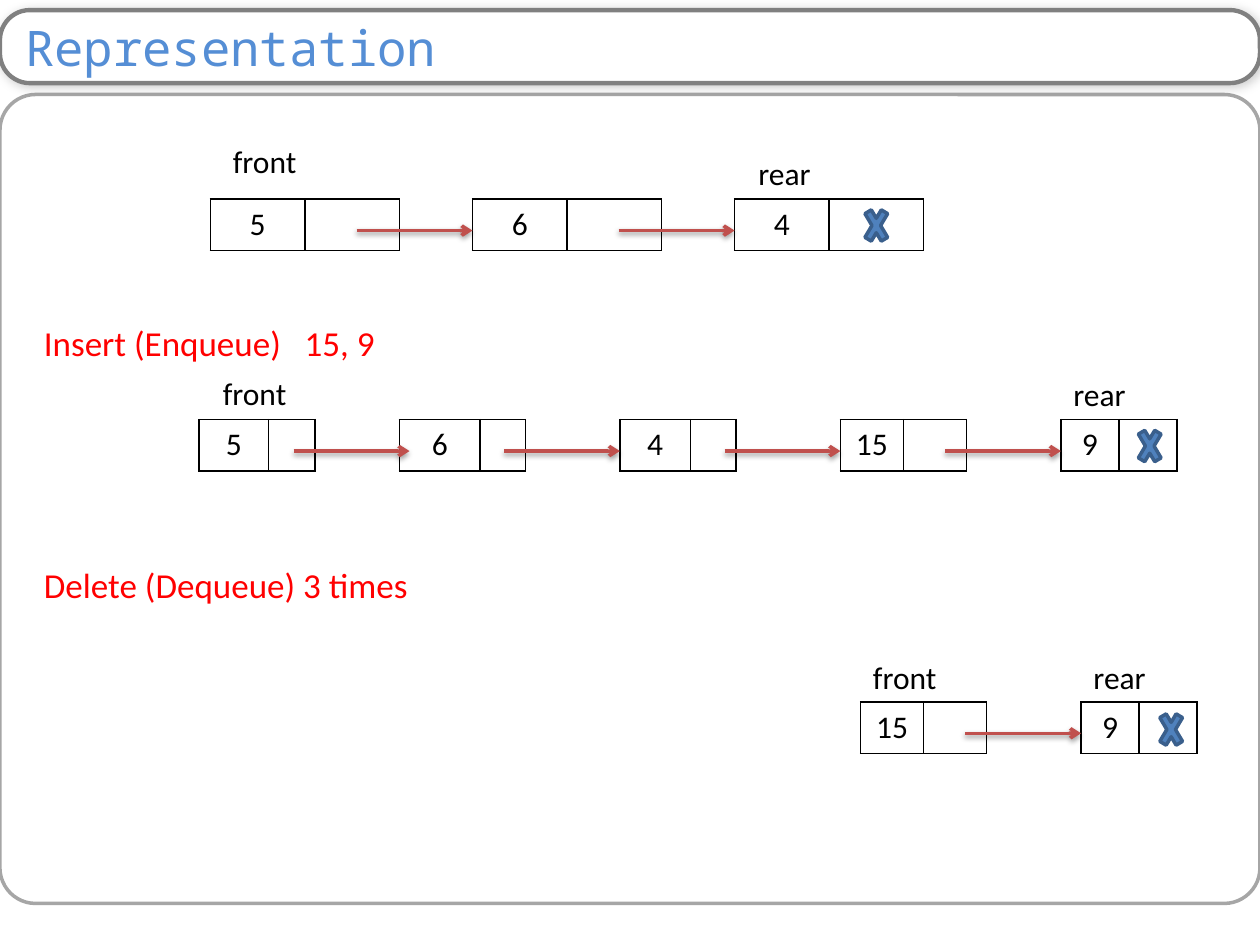
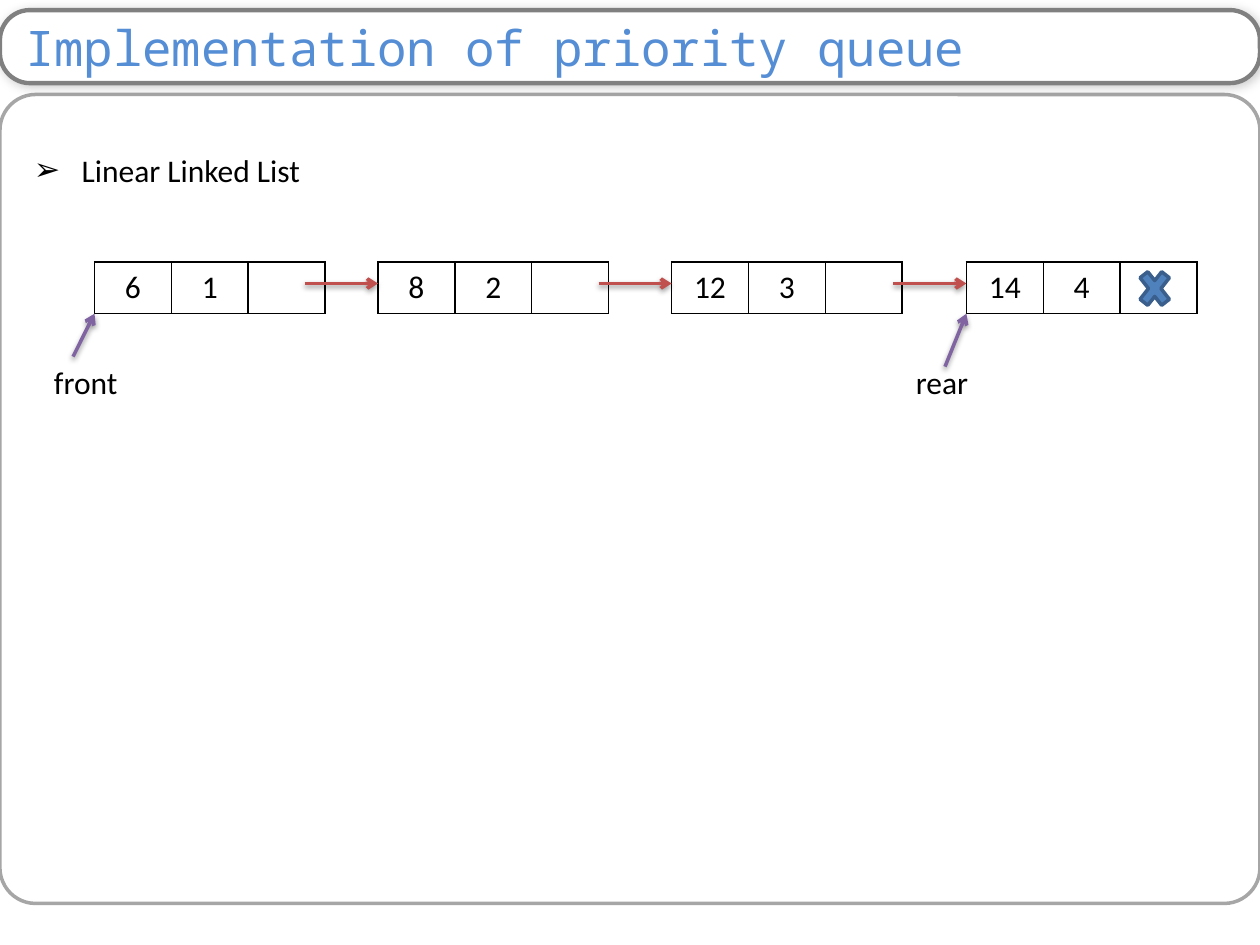
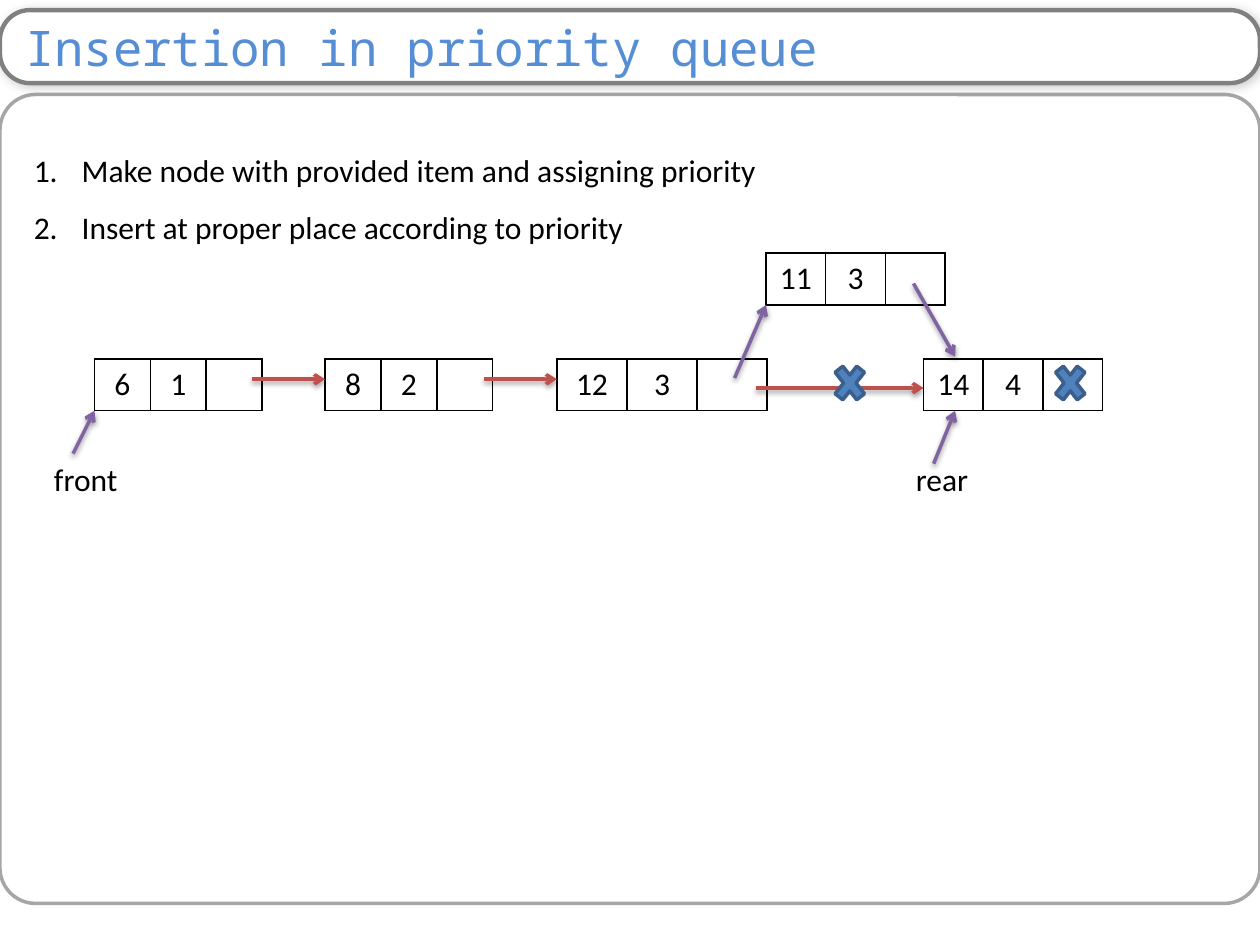
from dataclasses import dataclass

from lxml.etree import SubElement
from pptx import Presentation
from pptx.dml.color import RGBColor
from pptx.enum.shapes import MSO_CONNECTOR as Connector, MSO_SHAPE as Preset
from pptx.enum.text import MSO_ANCHOR as Anchor, MSO_AUTO_SIZE as AutoSize, PP_ALIGN as Align
from pptx.oxml.ns import qn
from pptx.util import Inches, Pt

WHITE = RGBColor(0xFF, 0xFF, 0xFF)
BLACK = RGBColor(0x00, 0x00, 0x00)
RED = RGBColor(0xFF, 0x00, 0x00)
TITLE_BLUE = RGBColor(0x55, 0x8E, 0xD5)
BAND_GREY = RGBColor(0x80, 0x80, 0x80)
PANEL_GREY = RGBColor(0xA6, 0xA6, 0xA6)
LINK_RED = RGBColor(0xC0, 0x50, 0x4D)
POINTER_PURPLE = RGBColor(0x80, 0x64, 0xA2)
CROSS_BLUE = RGBColor(0x4F, 0x81, 0xBD)
CROSS_EDGE = RGBColor(0x3A, 0x5F, 0x8C)

BODY_FONT = "Calibri"
TITLE_FONT = "Noto Sans Mono"
TITLE_ONLY = 5
NODE_HEIGHT = 0.41


@dataclass
class Node:
    """A list node; left is measured from the start of its chain."""
    left: float
    width: float
    values: tuple
    first: float = 0    # width of the first cell, when the cells differ
    reach: float = 0    # length of the link that arrives here
    entry: float = 0    # how far that link runs into the node


def box(left, top, width, height):
    return [Inches(length) for length in (left, top, width, height)]


# Text and effects
def write(para, text, size=18, font=BODY_FONT, color=BLACK, align=None):
    span = para.add_run()
    span.text = text
    span.font.size, span.font.name = Pt(size), font
    span.font.color.rgb = color
    para.alignment = align


def add_text(page, text, left, top, width, height=0.4, **style):
    frame = page.shapes.add_textbox(*box(left, top, width, height)).text_frame
    frame.word_wrap = True
    frame.auto_size = AutoSize.SHAPE_TO_FIT_TEXT
    write(frame.paragraphs[0], text, **style)
    return frame.paragraphs[0]


def add_tab_stop(para, position):
    stops = SubElement(para._p.get_or_add_pPr(), qn("a:tabLst"))
    SubElement(stops, qn("a:tab"), pos=str(Inches(position)), algn="l")


def add_bullets(page, lines, left, top, width, height, mark=None):
    """Hanging list with the given mark, or numbered when there is none."""
    frame = page.shapes.add_textbox(*box(left, top, width, height)).text_frame
    frame.word_wrap = True
    for index, line in enumerate(lines):
        para = frame.add_paragraph() if index else frame.paragraphs[0]
        para.line_spacing = 1.5
        write(para, line)
        props = para._p.get_or_add_pPr()
        props.set("marL", str(Inches(0.38)))
        props.set("indent", str(-Inches(0.38)))
        SubElement(props, qn("a:buFont"), typeface="Arial")
        if mark:
            SubElement(props, qn("a:buChar"), char=mark)
        else:
            SubElement(props, qn("a:buAutoNum"), type="arabicPeriod")


def add_shadow(shape, alpha, blur, distance, angle):
    effects = SubElement(shape.element.spPr, qn("a:effectLst"))
    shadow = SubElement(effects, qn("a:outerShdw"), blurRad=str(Pt(blur)),
                        dist=str(Pt(distance)), dir=str(angle * 60000),
                        algn="ctr", rotWithShape="0")
    color = SubElement(shadow, qn("a:srgbClr"), val=str(BLACK))
    SubElement(color, qn("a:alpha"), val=str(alpha * 1000))


# Basic parts
def add_preset(page, preset, place, edge, weight, fill=None, shadowed=False):
    shape = page.shapes.add_shape(preset, *place)
    if not shadowed:
        shape.shadow.inherit = False
    if fill is None:
        shape.fill.background()
    else:
        shape.fill.solid()
        shape.fill.fore_color.rgb = fill
    shape.line.color.rgb, shape.line.width = edge, Pt(weight)
    return shape


def add_cross(page, left, top, width=0.33):
    add_preset(page, Preset.MATH_MULTIPLY, box(left, top, width, 0.42),
               CROSS_EDGE, 2, CROSS_BLUE)


def add_arrow(page, start, end, color=POINTER_PURPLE):
    ends = [Inches(length) for length in (*start, *end)]
    arrow = page.shapes.add_connector(Connector.STRAIGHT, *ends)
    arrow.line.color.rgb, arrow.line.width = color, Pt(2)
    SubElement(arrow.element.spPr.find(qn("a:ln")), qn("a:tailEnd"), type="arrow")
    add_shadow(arrow, alpha=38, blur=3.1, distance=1.6, angle=90)


def add_border(cell):
    props = cell._tc.get_or_add_tcPr()
    for side in ("a:lnL", "a:lnR", "a:lnT", "a:lnB"):
        edge = SubElement(props, qn(side), w=str(Pt(1)))
        fill = SubElement(edge, qn("a:solidFill"))
        SubElement(fill, qn("a:srgbClr"), val=str(BLACK))


def add_node(page, node, left, top):
    """A one-row table: the values, then an empty cell for the link."""
    count = len(node.values) + 1
    table = page.shapes.add_table(
        1, count, *box(left, top, node.width, NODE_HEIGHT)).table
    table.first_row = table.horz_banding = False
    first = node.first or node.width / count
    for index, column in enumerate(table.columns):
        column.width = Inches((node.width - first) / (count - 1) if index else first)
        cell = table.cell(0, index)
        add_border(cell)
        cell.fill.background()
        if index < len(node.values):
            write(cell.text_frame.paragraphs[0], node.values[index], align=Align.CENTER)


def add_chain(page, left, top, nodes, link_depth=0.25):
    """Nodes in a row, each with the link that arrives at it."""
    for node in nodes:
        add_node(page, node, left + node.left, top)
    for node in nodes:
        if node.reach:
            tip, height = left + node.left + node.entry, top + link_depth
            add_arrow(page, (tip - node.reach, height), (tip, height), LINK_RED)


# Frame shared by all slides
def add_page(deck, text):
    page = deck.slides.add_slide(deck.slide_layouts[TITLE_ONLY])
    panel = add_preset(page, Preset.ROUNDED_RECTANGLE, box(0, 0.75, 10, 6.42),
                       PANEL_GREY, 2)
    panel.adjustments[0] = 0.044
    place = box(0, 0.08, 10, 0.58)
    band = add_preset(page, Preset.ROUNDED_RECTANGLE, place, BAND_GREY, 2.5, WHITE, shadowed=True)
    band.adjustments[0] = 0.409
    add_shadow(band, alpha=20, blur=6, distance=1, angle=45)

    title = page.shapes.title
    title.left, title.top, title.width, title.height = place
    band.element.addnext(title.element)    # the title stands on the band
    frame = title.text_frame
    frame.auto_size = AutoSize.NONE
    frame.vertical_anchor = Anchor.MIDDLE
    frame.margin_left, frame.margin_right = Inches(0.2), Inches(0.1)
    frame.margin_top = frame.margin_bottom = 0
    write(frame.paragraphs[0], text, size=28, font=TITLE_FONT,
          color=TITLE_BLUE, align=Align.LEFT)
    return page


def add_pointers(page, top, rear_tip):
    """Front and rear labels under a chain, with arrows up to its nodes."""
    add_arrow(page, (0.58, top + 0.75), (0.75, top + NODE_HEIGHT))
    add_arrow(page, (rear_tip - 0.17, top + 0.83), (rear_tip, top + NODE_HEIGHT))
    for text, left in (("front", 0.33), ("rear", 7.17)):
        add_text(page, text, left, top + 0.75, 1.25)


# Slides
def representation_page(deck):
    page = add_page(deck, "Representation")

    # Starting queue
    add_chain(page, 1.67, 1.58, [
        Node(index * 2.08, 1.5, (value,), reach=0.92 if index else 0)
        for index, value in enumerate("564")])
    add_cross(page, 6.83, 1.58, 0.25)

    # After inserting
    para = add_text(page, "Insert (Enqueue)\t15, 9", 0.25, 2.5, 4.75, 0.44,
                    size=20, color=RED)
    add_tab_stop(para, 2.07)
    add_chain(page, 1.58, 3.33, [
        Node(0, 0.92, ("5",), first=0.55),
        Node(1.59, 1, ("6",), first=0.64, reach=0.92, entry=0.08),
        Node(3.34, 0.92, ("4",), first=0.56, reach=0.92),
        Node(5.09, 1, ("15",), reach=0.92),
        Node(6.84, 0.92, ("9",), reach=0.92)])
    add_cross(page, 9, 3.33, 0.25)

    # After deleting
    add_text(page, "Delete (Dequeue) 3 times", 0.25, 4.42, 4.75, 0.44,
             size=20, color=RED)
    add_chain(page, 6.83, 5.57, [
        Node(0, 1, ("15",)), Node(1.75, 0.92, ("9",), reach=0.92)])
    add_cross(page, 9.17, 5.58, 0.25)

    for text, left, top in (("front", 1.75, 1.08), ("rear", 5.92, 1.17),
                            ("front", 1.67, 2.92), ("rear", 8.42, 2.93),
                            ("front", 6.83, 5.17), ("rear", 8.58, 5.17)):
        add_text(page, text, left, top, 0.92)


def implementation_page(deck):
    page = add_page(deck, "Implementation of priority queue")
    add_bullets(page, ["Linear Linked List"], 0.17, 1, 9.67, 3.89, mark="➢")
    top = 2.08
    add_chain(page, 0.75, top, [
        Node(0, 1.83, ("6", "1")),
        Node(2.25, 1.83, ("8", "2"), reach=0.58),
        Node(4.58, 1.83, ("12", "3"), reach=0.58),
        Node(6.92, 1.83, ("14", "4"), reach=0.58)], link_depth=0.17)
    add_cross(page, 9, top)
    add_pointers(page, top, rear_tip=7.67)


def insertion_page(deck):
    page = add_page(deck, "Insertion in priority queue")
    add_bullets(page, ["Make node with provided item and assigning priority",
                       "Insert at proper place according to priority"],
                0.17, 1, 9.67, 1.31)
    top = 2.85
    add_chain(page, 0.75, top, [
        Node(0, 1.33, ("6", "1")),
        Node(1.83, 1.33, ("8", "2"), reach=0.58),
        Node(3.67, 1.67, ("12", "3"), reach=0.58)], link_depth=0.16)
    add_chain(page, 7.33, top, [Node(0, 1.42, ("14", "4"), reach=1.33)], link_depth=0.23)
    add_pointers(page, top, rear_tip=7.58)

    # New node and its two links
    add_node(page, Node(0, 1.42, ("11", "3")), 6.08, 2.01)
    add_arrow(page, (5.83, 3), (6.08, 2.42))
    add_arrow(page, (7.25, 2.25), (7.58, 2.83))
    for left in (8.33, 6.58):
        add_cross(page, left, 2.83)


deck = Presentation()
deck.slide_width, deck.slide_height = Inches(10), Inches(7.5)
representation_page(deck)
implementation_page(deck)
insertion_page(deck)
deck.save("out.pptx")
